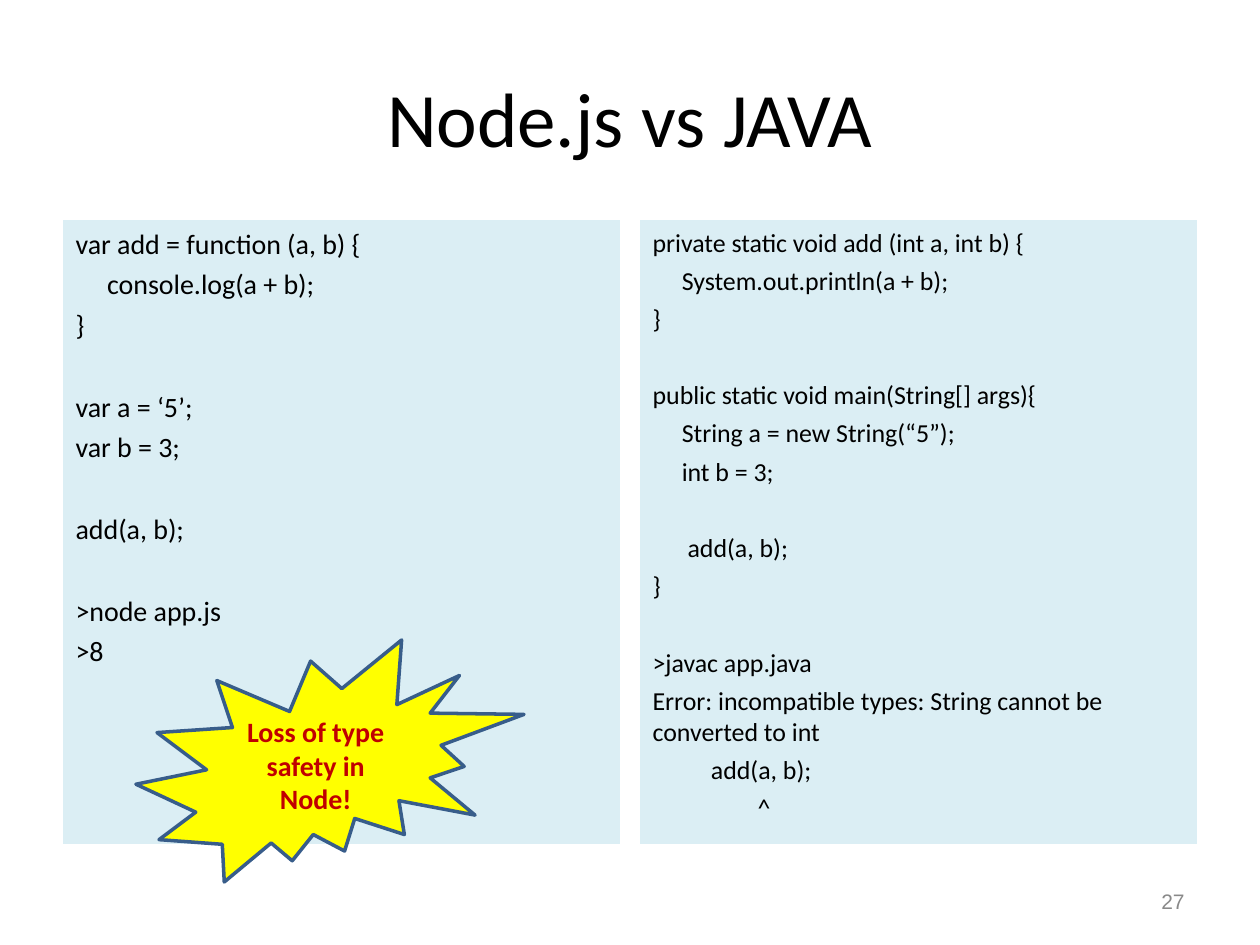
from dataclasses import dataclass

from lxml import etree
from pptx import Presentation
from pptx.dml.color import RGBColor
from pptx.enum.shapes import MSO_SHAPE
from pptx.enum.text import MSO_ANCHOR, MSO_AUTO_SIZE, PP_ALIGN
from pptx.oxml.ns import qn
from pptx.util import Emu, Pt

BURST = MSO_SHAPE.EXPLOSION2
MIDDLE, TOP = MSO_ANCHOR.MIDDLE, MSO_ANCHOR.TOP
LEFT, CENTER, RIGHT = PP_ALIGN.LEFT, PP_ALIGN.CENTER, PP_ALIGN.RIGHT
NO_FIT = MSO_AUTO_SIZE.NONE
DPI = 126
LEAD = 1.22  # line height of the code font, in ems


@dataclass(frozen=True)
class Theme:
    font: str = "Calibri"
    plain: str = "Arial"
    ink: str = "000000"
    panel: str = "DBEEF4"
    burst: str = "FFFF00"
    edge: str = "385D8A"
    alert: str = "C00000"
    faint: str = "898989"
    head: float = 44
    node: float = 16
    java: float = 14.8
    note: float = 16
    page: float = 12
    gap: float = 4


THEME = Theme()

NODE = """var add = function (a, b) {
     console.log(a + b);
}

var a = ‘5’;
var b = 3;

add(a, b);

>node app.js
>8"""

JAVA = """private static void add (int a, int b) {
     System.out.println(a + b);
}

public static void main(String[] args){
     String a = new String(“5”);
     int b = 3;

      add(a, b);
}

>javac app.java
Error: incompatible types: String cannot be converted to int
          add(a, b);
                  ^"""


def px(n):
    return Emu(round(n * 914400 / DPI))


def place(shape, box):
    shape.left, shape.top, shape.width, shape.height = map(px, box)


def paint(fill, color):
    fill.solid()
    fill.fore_color.rgb = RGBColor.from_string(color)


def style(para, size, color, align, font=THEME.font, bold=False):
    para.alignment = align
    for run in para.runs:
        run.font.name = font
        run.font.size = Pt(size)
        run.font.bold = bold
        run.font.color.rgb = RGBColor.from_string(color)


def label(shape, text, *look, **more):
    """Fill a shape with one centred-in-height paragraph."""
    frame = shape.text_frame
    frame.text = text
    frame.word_wrap = True
    frame.vertical_anchor = MIDDLE
    style(frame.paragraphs[0], *look, **more)


def add_title(slide, box):
    place(slide.shapes.title, box)
    label(slide.shapes.title, "Node.js vs JAVA", THEME.head, THEME.ink, CENTER)


def flush(para):
    """Drop the bullet and its hanging indent."""
    props = para._p.get_or_add_pPr()
    props.set("marL", "0")
    props.set("indent", "0")
    etree.SubElement(props, qn("a:buNone"))


def add_code(holder, box, code, size):
    """Set code in a panel; an empty line becomes space before the next."""
    place(holder, box)
    paint(holder.fill, THEME.panel)
    frame = holder.text_frame
    frame.word_wrap = True
    frame.auto_size = NO_FIT
    frame.vertical_anchor = TOP
    blocks = [block.split("\n") for block in code.split("\n\n")]
    frame.text = "\n".join(line for block in blocks for line in block)
    starts = [i == 0 for block in blocks for i in range(len(block))]
    wide = 2 * THEME.gap + LEAD * size
    for i, (para, start) in enumerate(zip(frame.paragraphs, starts)):
        flush(para)
        space = wide if start else THEME.gap
        para.space_before = Pt(space if i else 0)
        style(para, size, THEME.ink, LEFT)


def add_panels(slide, box):
    """Share the box between two code panels with a gutter."""
    left, top, width, height = box
    gutter = 20
    each = (width - gutter) // 2
    bodies = [h for h in slide.placeholders if h.placeholder_format.idx]
    parts = ((NODE, THEME.node), (JAVA, THEME.java))
    for i, (holder, part) in enumerate(zip(bodies, parts)):
        add_code(holder, (left + i * (each + gutter), top, each, height), *part)


def add_page(slide, box):
    text = slide.shapes.add_textbox(*map(px, box))
    label(text, "27", THEME.page, THEME.faint, RIGHT, font=THEME.plain)


def add_burst(slide, box):
    burst = slide.shapes.add_shape(BURST, *map(px, box))
    burst.shadow.inherit = False
    paint(burst.fill, THEME.burst)
    paint(burst.line.fill, THEME.edge)
    burst.line.width = Pt(2)
    label(burst, "Loss of type safety in Node!", THEME.note, THEME.alert,
          CENTER, bold=True)


def main():
    deck = Presentation()
    deck.slide_width, deck.slide_height = px(1260), px(945)
    slide = deck.slides.add_slide(deck.slide_layouts[3])
    add_title(slide, (63, 38, 1134, 157))
    add_panels(slide, (63, 220, 1134, 624))
    add_page(slide, (903, 876, 294, 50))
    add_burst(slide, (136, 640, 388, 242))
    deck.save("out.pptx")


if __name__ == "__main__":
    main()
